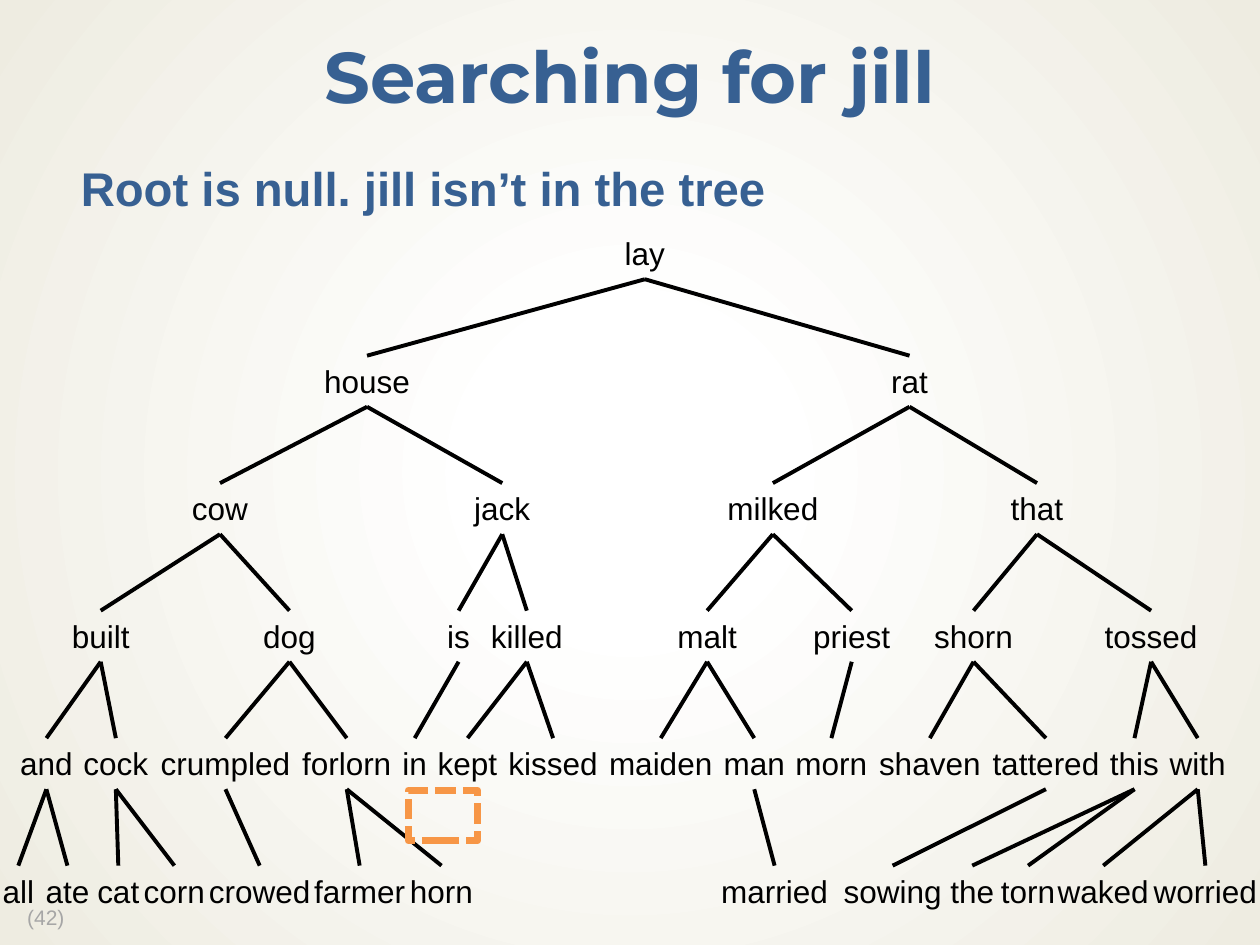
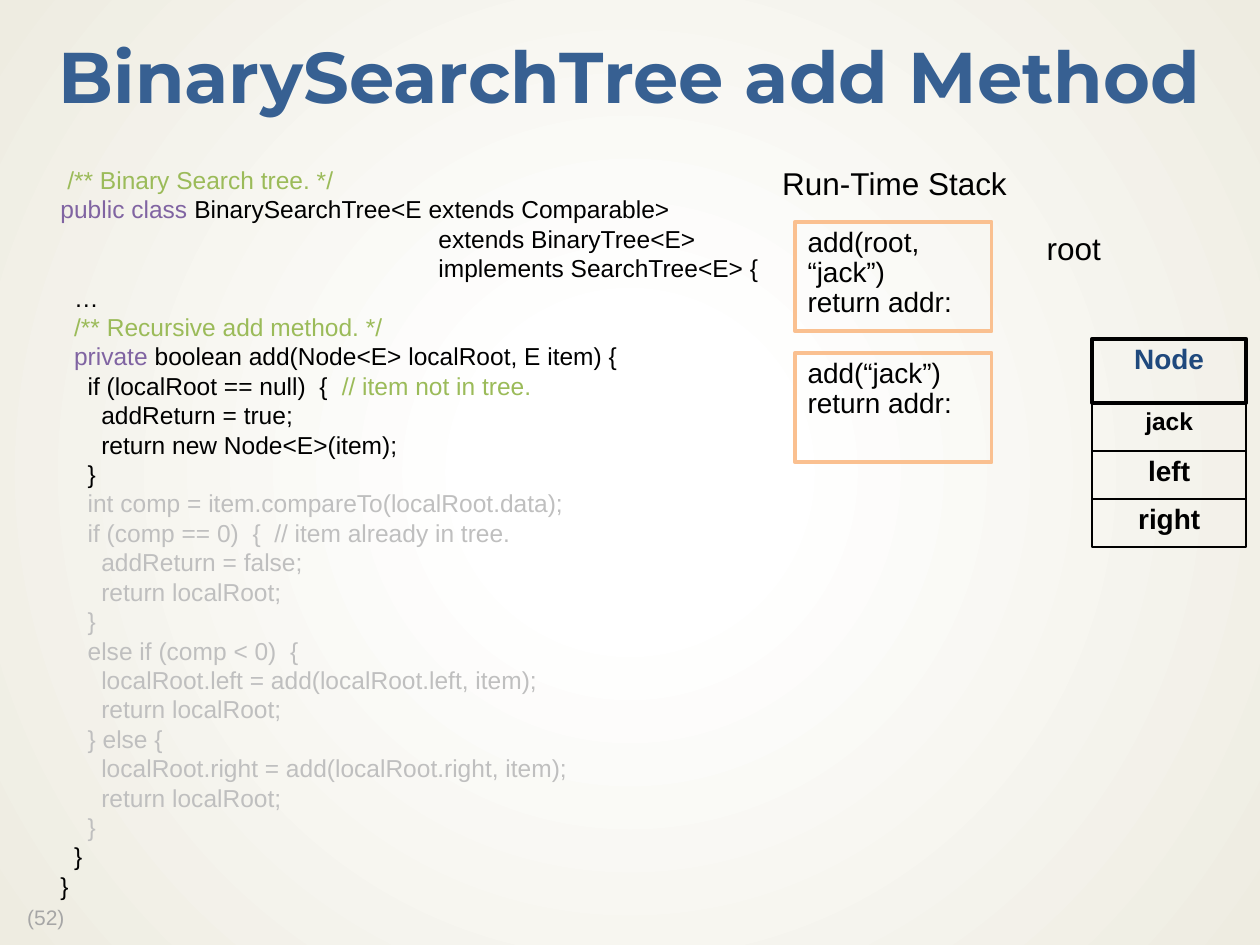
from dataclasses import dataclass

from lxml import etree
from pptx import Presentation, util as u
from pptx.dml.color import RGBColor
from pptx.enum import dml, shapes, text
from pptx.oxml import parse_xml
from pptx.oxml.ns import nsdecls, qn

Cm, Pt = u.Cm, u.Pt


@dataclass(frozen=True)
class Theme:
    head: str = "Montserrat"
    body: str = "Arial"
    blue: str = "376092"
    navy: str = "1F497D"
    ink: str = "000000"
    foot: str = "A6A6A6"
    note: str = "9BBB59"
    key: str = "8064A2"
    dim: str = "BFBFBF"
    hot: str = "F79646"
    peach: str = "FAC090"
    white: str = "FFFFFF"
    cream: str = "EEECE1"
    title: float = 41
    lead: float = 27
    word: float = 18
    cell: float = 16
    code: float = 14
    small: float = 12
    thick: float = 2.25


T = Theme()

# Search tree, level by level: word, left, width (cm)
LEVELS = [
    [("lay", 12.34, 1.32)],
    [("house", 6.27, 2.26), ("rat", 17.7, 1.27)],
    [("cow", 3.61, 1.65), ("jack", 9.3, 1.65), ("milked", 14.4, 2.36),
     ("that", 20.12, 1.57)],
    [("built", 1.19, 1.68), ("dog", 5.05, 1.57), ("is", 8.76, 0.97),
     ("killed", 9.63, 1.98), ("malt", 13.39, 1.73), ("priest", 16.13, 2.08),
     ("shorn", 18.57, 2.11), ("tossed", 22, 2.41)],
    [("and", 0.15, 1.57), ("cock", 1.42, 1.83), ("crumpled", 2.97, 3.15),
     ("forlorn", 5.82, 2.34), ("in", 7.85, 1.02), ("kept", 8.56, 1.73),
     ("kissed", 9.98, 2.34), ("maiden", 12.01, 2.62), ("man", 14.33, 1.75),
     ("morn", 15.77, 1.98), ("shaven", 17.45, 2.59), ("tattered", 19.74, 2.69),
     ("this", 22.12, 1.5), ("with", 23.32, 1.65)],
    [("all", -0.2, 1.14), ("ate", 0.66, 1.4), ("cat", 1.7, 1.37),
     ("corn", 2.64, 1.75), ("crowed", 3.94, 2.59), ("farmer", 6.07, 2.36),
     ("horn", 8, 1.8), ("married", 14.27, 2.69), ("sowing", 16.74, 2.51),
     ("the", 18.9, 1.4), ("torn", 19.91, 1.63), ("waked", 21.06, 2.36),
     ("worried", 22.99, 2.62)],
]
TOP, STEP, TALL = 4.6, 2.57, 1.03

# Code in colour groups: each line is a list of (text, colour)
INTRO = [
    [(" /** Binary Search tree. */", T.note)],
    [("public class ", T.key), ("BinarySearchTree<E extends Comparable>", T.ink)],
    [("\textends BinaryTree<E>", T.ink)],
    [("\timplements SearchTree<E> {", T.ink)],
    [("  …", T.ink)],
    [("  /** Recursive add method. */", T.note)],
    [("  ", T.ink), ("private ", T.key),
     ("boolean add(Node<E> localRoot, E item) {", T.ink)],
    [("    if (localRoot == null)  {  ", T.ink), ("// item not in tree.", T.note)],
    [("      addReturn = true;", T.ink)],
    [("      return new Node<E>(item);", T.ink)],
    [("    }", T.ink)],
]
REST = """\
    int comp = item.compareTo(localRoot.data);
    if (comp == 0)  {  // item already in tree.
      addReturn = false;
      return localRoot;
    }
    else if (comp < 0)  {
      localRoot.left = add(localRoot.left, item);
      return localRoot;
    } else {
      localRoot.right = add(localRoot.right, item);
      return localRoot;
    }"""
CODE = (INTRO + [[(line, T.dim)] for line in REST.split("\n")]
        + [[("  }", T.ink)], [("}", T.ink)]])

# Stack frames, and node cells: text, height, line width, size, colour
FRAMES = [["add(root, “jack”)", "return addr:"], ["add(“jack”)", "return addr:"]]
CELLS = [
    ("Node", 1.29, T.thick, T.cell, T.navy),
    ("jack", 0.97, 1, T.code, T.ink),
    ("left", 0.97, 1, T.cell, T.ink),
    ("right", 0.97, 1, T.cell, T.ink),
]


def rgb(hue):
    return RGBColor.from_string(hue)


def write(shape, lines, size, hue=T.ink, face=T.body, bold=False,
          align=text.PP_ALIGN.LEFT, lead=None):
    """Fill a shape with one plain paragraph per line."""
    frame = shape.text_frame
    for i, line in enumerate(lines):
        par = frame.add_paragraph() if i else frame.paragraphs[0]
        par.text = line
        par.alignment, par.line_spacing = align, lead
        font = par.font
        font.name, font.size, font.bold = face, Pt(size), bold
        font.color.rgb = rgb(hue)
    return shape


def label(slide, x, y, w, h, lines, size, wrap=False, **style):
    box = slide.shapes.add_textbox(Cm(x), Cm(y), Cm(w), Cm(h))
    box.text_frame.word_wrap = wrap
    return write(box, lines, size, **style)


def frame(slide, x, y, w, h, hue, width):
    """Outlined rectangle without fill, text at the top."""
    box = slide.shapes.add_shape(shapes.MSO_SHAPE.RECTANGLE,
                                 Cm(x), Cm(y), Cm(w), Cm(h))
    box.shadow.inherit = False
    box.fill.background()
    box.line.color.rgb, box.line.width = rgb(hue), Pt(width)
    box.text_frame.word_wrap = True
    box.text_frame.vertical_anchor = text.MSO_ANCHOR.TOP
    return box


def link(slide, above, below):
    line = slide.shapes.add_connector(shapes.MSO_CONNECTOR.STRAIGHT, 0, 0, 0, 0)
    line.begin_connect(above, 2)
    line.end_connect(below, 0)
    line.line.color.rgb, line.line.width = rgb(T.ink), Pt(T.thick)
    etree.SubElement(line._element.spPr, qn("a:effectLst"))


def backdrop(deck):
    """Round glow behind every slide."""
    page = deck.slide_master._element.cSld
    for old in page.findall(qn("p:bg")):
        page.remove(old)
    page.insert(0, parse_xml(
        f'<p:bg {nsdecls("p", "a")}><p:bgPr><a:gradFill><a:gsLst>'
        f'<a:gs pos="18000"><a:srgbClr val="{T.white}"><a:alpha val="53000"/>'
        f'</a:srgbClr></a:gs><a:gs pos="100000"><a:srgbClr val="{T.cream}"/></a:gs>'
        '</a:gsLst><a:path path="circle"><a:fillToRect l="50000" t="50000" '
        'r="50000" b="50000"/></a:path></a:gradFill><a:effectLst/></p:bgPr></p:bg>'))


def start(deck, title, page):
    """New slide with the shared title and page number."""
    slide = deck.slides.add_slide(deck.slide_layouts[6])
    foot = label(slide, 0.18, 18.16, 1.42, 0.71, [f"({page})"], T.small,
                 hue=T.foot, lead=0.9)
    foot.text_frame.margin_left = Cm(0.37)
    head = label(slide, 0, 0.43, 25.4, 2.39, [title], T.title, wrap=True,
                 hue=T.blue, face=T.head, bold=True,
                 align=text.PP_ALIGN.CENTER, lead=0.9)
    head.text_frame.vertical_anchor = text.MSO_ANCHOR.MIDDLE
    return slide


def search(deck):
    slide = start(deck, "Searching for jill", 42)
    lead = label(slide, 0.97, 3.18, 23.5, 14.35,
                 ["Root is null. jill isn’t in the tree"], T.lead, wrap=True,
                 hue=T.blue, bold=True, lead=0.9)
    lead.text_frame.margin_left = Cm(0.66)
    lead.text_frame.margin_top = Cm(0.15)

    # Words by level
    nodes = {}
    for depth, level in enumerate(LEVELS):
        for word, x, w in level:
            nodes[word] = label(slide, x, TOP + depth * STEP, w, TALL, [word],
                                T.word, align=text.PP_ALIGN.CENTER)

    # Alphabetical order decides each word's parent
    root, kids = LEVELS[0][0][0], {}
    for word in list(nodes)[1:]:
        spot = root
        while (spot, word < spot) in kids:
            spot = kids[spot, word < spot]
        kids[spot, word < spot] = word
        link(slide, nodes[spot], nodes[word])

    # Empty place where the search ends
    gap = frame(slide, 8.23, 15.93, 1.4, 1.02, T.hot, 4)
    gap.line.dash_style = dml.MSO_LINE.SQUARE_DOT
    gap.line._ln.find(qn("a:prstDash")).set("val", "sysDash")


def method(deck):
    slide = start(deck, "BinarySearchTree add Method", 52)

    # Code listing
    body = label(slide, 0.97, 3.2, 14.71, 15.21, [], T.code).text_frame
    for i, line in enumerate(CODE):
        par = body.add_paragraph() if i else body.paragraphs[0]
        if line[0][0].startswith("\t"):
            tabs = etree.SubElement(par._p.get_or_add_pPr(), qn("a:tabLst"))
            etree.SubElement(tabs, qn("a:tab"), pos=str(Cm(7.62)), algn="l")
        par.font.name, par.font.size = T.body, Pt(T.code)
        for part, hue in line:
            run = par.add_run()
            run.text = part
            run.font.color.rgb = rgb(hue)

    # Run-time stack
    label(slide, 15.52, 3.18, 5.08, 1.02, ["Run-Time Stack"], T.word)
    for i, lines in enumerate(FRAMES):
        box = frame(slide, 16.03, 4.47 + i * 2.64, 3.96, 2.21, T.peach, T.thick)
        write(box, lines, T.cell, lead=0.9)

    # New node
    label(slide, 20.85, 4.5, 1.63, 1.02, ["root"], T.word)
    y = 6.83
    for word, h, width, size, hue in CELLS:
        box = frame(slide, 22.02, y, 3.1, h, T.ink, width)
        write(box, [word], size, hue=hue, bold=True,
              align=text.PP_ALIGN.CENTER, lead=0.9)
        y += h


def main():
    deck = Presentation()
    deck.slide_width, deck.slide_height = Cm(25.4), Cm(19.05)
    backdrop(deck)
    search(deck)
    method(deck)
    deck.save("out.pptx")


if __name__ == "__main__":
    main()
